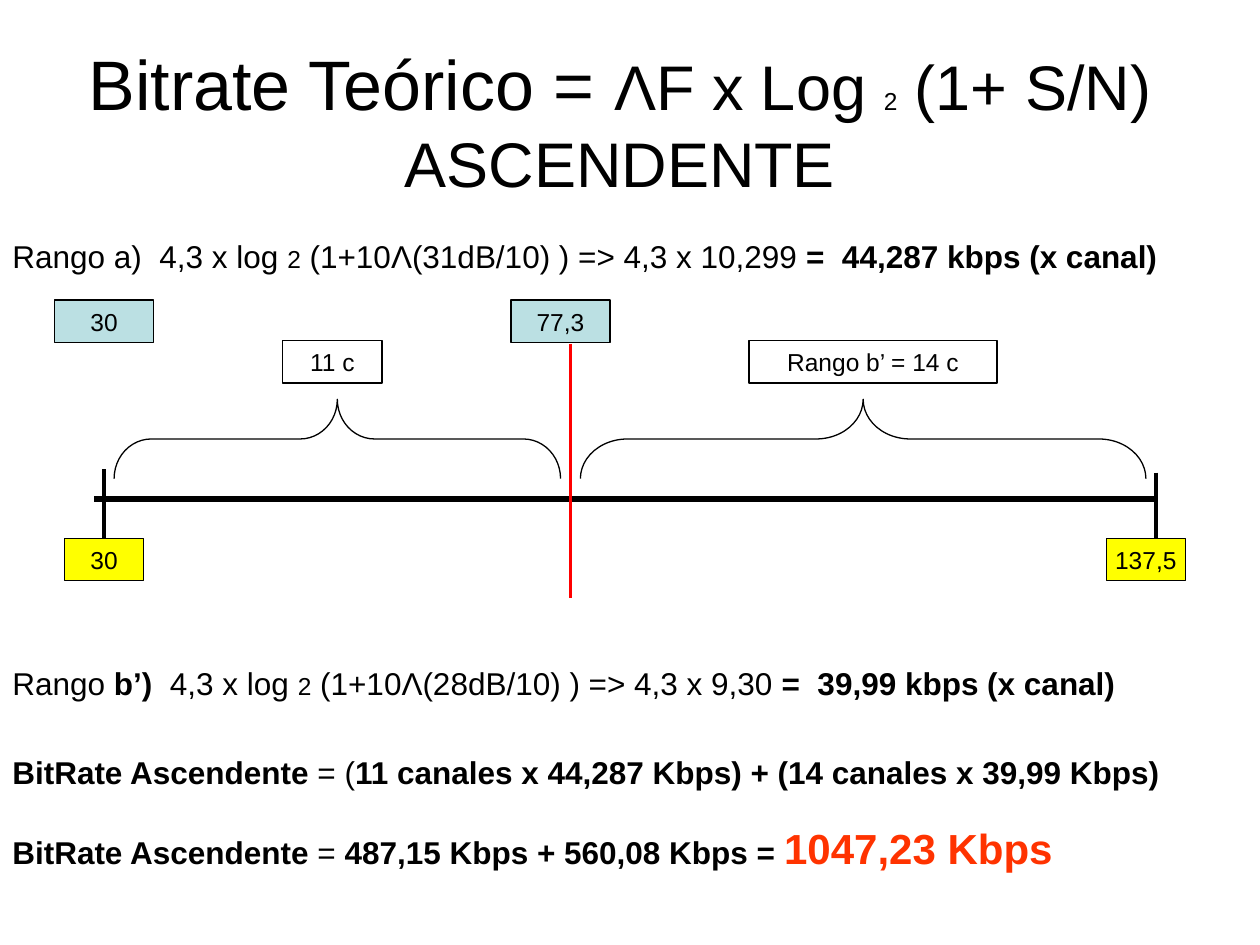
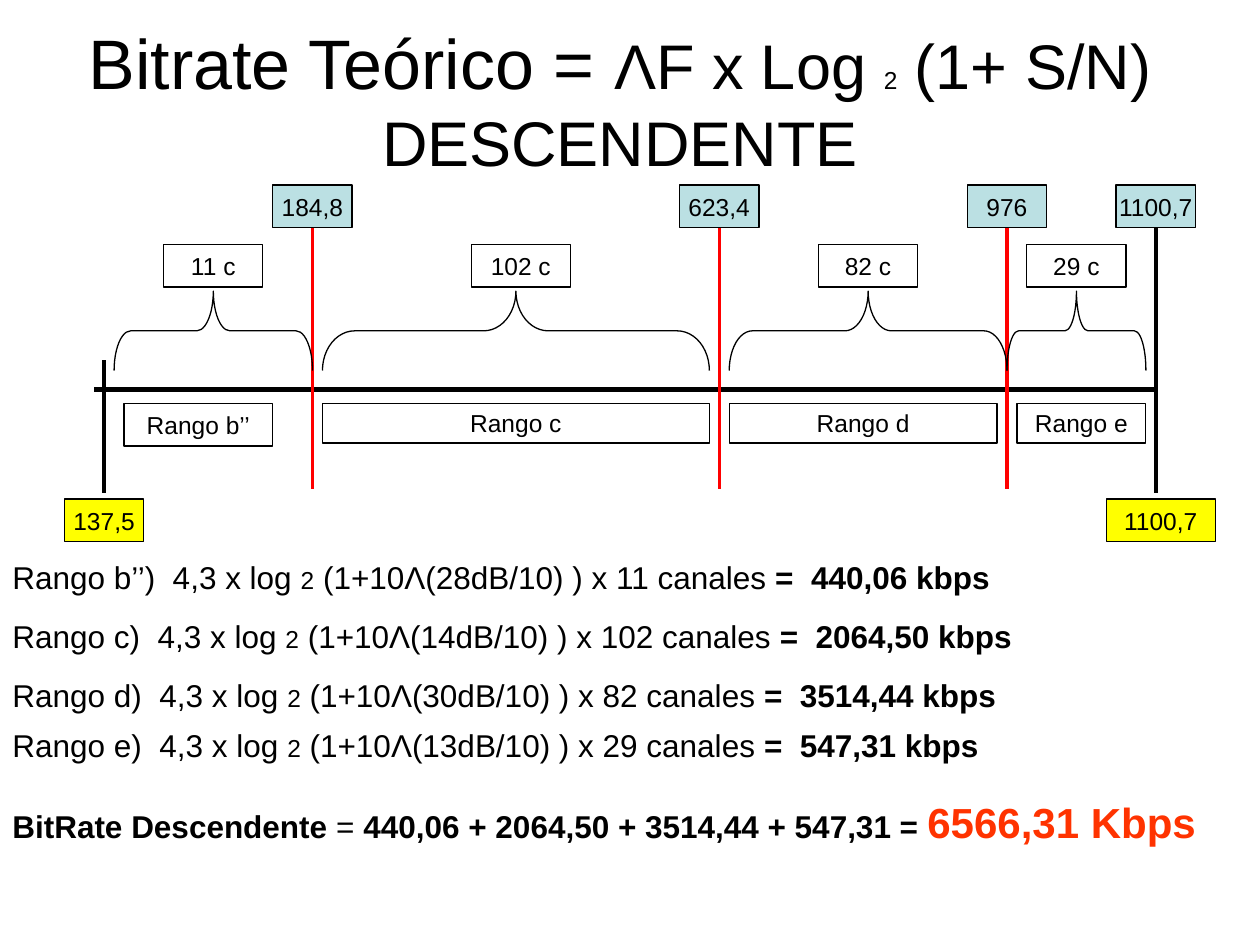
from lxml import etree
from pptx import Presentation
from pptx.dml.color import RGBColor as RGB
from pptx.enum.shapes import MSO_CONNECTOR as CONN, MSO_SHAPE as SHAPE
from pptx.enum.text import MSO_ANCHOR as ANCHOR, PP_ALIGN as ALIGN
from pptx.oxml.ns import qn
from pptx.util import Cm, Pt

COLORS = {"black": "000000", "white": "FFFFFF", "blue": "BBE0E3",
          "yellow": "FFFF00", "red": "FF0000", "total": "FF3300"}
# style: size, bold, colour
STYLES = {"title": (40, False, "black"), "title2": (36, False, "black"),
          "sub": (14, False, "black"), "text": (18, False, "black"),
          "bold": (18, True, "black"), "total": (24, True, "total")}
BOX_H = 0.86
BRACE_H = 1.6
AXIS_X = (1.9, 23.3)
LEFT_TICK, RIGHT_TICK = 2.1, 23.3


def write(p, runs):
    """Add styled runs to a paragraph; a newline becomes a line break."""
    for text, style in runs:
        size, bold, color = STYLES[style]
        for i, part in enumerate(text.split("\n")):
            if i:
                p.add_line_break()
            r = p.add_run()
            r.text = part
            r.font.name = "Arial"
            r.font.size = Pt(size)
            r.font.bold = bold
            r.font.color.rgb = RGB.from_string(COLORS[color])


def formula(name, db, factor, result, name_style="text"):
    """Runs of one capacity formula."""
    return [("Rango ", "text"), (name, name_style), ("  4,3 x log ", "text"),
            ("2", "sub"), (f" (1+10Λ({db}dB/10) ) {factor} ", "text"),
            (f"=  {result}", "bold")]


# boxes: text, left, top, width, height, fill
# lines: x1, y1, x2, y2, colour, points, joined box, its side
# braces: left, right
slides = [
    {
        "direction": "ASCENDENTE", "title_y": 0.75,
        "texts": [
            (4.65, formula("a)", 31, "=> 4,3 x 10,299", "44,287 kbps (x canal)")),
            (13.26, formula("b’)", 28, "=> 4,3 x 9,30", "39,99 kbps (x canal)", "bold")),
            (15.06, [("BitRate Ascendente", "bold"), (" = (", "text"),
                     ("11 canales x 44,287 Kbps) + (14 canales x 39,99 Kbps)", "bold")]),
            (16.46, [("BitRate Ascendente", "bold"), (" = ", "text"),
                     ("487,15 Kbps + 560,08 Kbps = ", "bold"),
                     ("1047,23 Kbps", "total")]),
        ],
        "boxes": [
            ("77,3", 10.3, 6.05, 2, BOX_H, "blue"),
            ("30", 1.1, 6.05, 2, BOX_H, "blue"),
            ("30", 1.3, 10.85, 1.6, BOX_H, "yellow"),
            ("137,5", 22.3, 10.85, 1.6, BOX_H, "yellow"),
            ("11 c", 5.7, 6.86, 2, BOX_H, "white"),
            ("Rango b’ = 14 c", 15.1, 6.86, 5, BOX_H, "white"),
        ],
        "axis_y": 10.06,
        "lines": [
            (RIGHT_TICK, 9.53, RIGHT_TICK, 10.85, "black", 2, None, None),
            (LEFT_TICK, 10.85, LEFT_TICK, 9.45, "black", 2, 2, 0),
            (11.5, 6.93, 11.5, 12.06, "red", 2, None, None),
        ],
        "brace_y": 8.05, "braces": [(2.3, 11.3), (11.7, 23.1)],
    },
    {
        "direction": "DESCENDENTE", "title_y": 0.32,
        "texts": [
            (11.13, formula("b’’)", 28, "x 11 canales", "440,06 kbps")),
            (12.32, formula("c)", 14, "x 102 canales", "2064,50 kbps")),
            (13.51, formula("d)", 30, "x 82 canales", "3514,44 kbps")),
            (14.52, formula("e)", 13, "x 29 canales", "547,31 kbps")),
            (15.93, [("BitRate Descendente", "bold"), (" = ", "text"),
                     ("440,06 + 2064,50 + 3514,44 + 547,31 = ", "bold"),
                     ("6566,31 Kbps", "total")]),
        ],
        "boxes": [
            *[(text, x - 0.8, 3.73, 1.6, BOX_H, "blue") for text, x in
              [("184,8", 6.3), ("623,4", 14.5), ("976", 20.3), ("1100,7", RIGHT_TICK)]],
            ("137,5", 1.3, 10.06, 1.6, BOX_H, "yellow"),
            ("1100,7", 22.3, 10.06, 2.2, BOX_H, "yellow"),
            *[(text, x, 4.93, 2, BOX_H, "white") for text, x in
              [("11 c", 3.3), ("102 c", 9.5), ("82 c", 16.5), ("29 c", 20.7)]],
            ("Rango b’’", 2.5, 8.13, 3, BOX_H, "white"),
            *[(f"Rango {name}", x, 8.13, w, 0.8, "white") for name, x, w in
              [("c", 6.5, 7.8), ("d", 14.7, 5.4), ("e", 20.5, 2.6)]],
        ],
        "axis_y": 7.85,
        "lines": [
            (LEFT_TICK, 7.26, LEFT_TICK, 9.93, "black", 2, None, None),
            (RIGHT_TICK, 4.59, RIGHT_TICK, 9.93, "black", 2, 3, 2),
            *[(x, 4.59, x, 9.85, "red", 2, i, 2)
              for i, x in enumerate([6.3, 14.5, 20.3])],
        ],
        "brace_y": 5.87,
        "braces": [(2.3, 6.3), (6.5, 14.3), (14.7, 20.3), (20.3, 23.1)],
    },
]

prs = Presentation()
prs.slide_width, prs.slide_height = Cm(25.4), Cm(19.05)

for page in slides:
    s = prs.slides.add_slide(prs.slide_layouts[6])

    # Title
    tf = s.shapes.add_textbox(Cm(0.5), Cm(page["title_y"]), Cm(24), Cm(3.35)).text_frame
    tf.word_wrap = True
    tf.vertical_anchor = ANCHOR.MIDDLE
    tf.paragraphs[0].alignment = ALIGN.CENTER
    write(tf.paragraphs[0], [("Bitrate Teórico = ", "title"), ("ΛF x Log ", "title2"),
                             ("2", "sub"), (f" (1+ S/N)\n{page['direction']}", "title2")])

    # Formulas and totals
    for y, runs in page["texts"]:
        h = 1.27 if runs[-1][1] == "total" else 1.02
        tf = s.shapes.add_textbox(0, Cm(y), Cm(24.7), Cm(h)).text_frame
        tf.word_wrap = True
        write(tf.paragraphs[0], runs)

    # Frequency and range boxes
    boxes = []
    for text, x, y, w, h, fill in page["boxes"]:
        sp = s.shapes.add_shape(SHAPE.RECTANGLE, Cm(x), Cm(y), Cm(w), Cm(h))
        sp.shadow.inherit = False
        sp.fill.solid()
        sp.fill.fore_color.rgb = RGB.from_string(COLORS[fill])
        sp.line.color.rgb = RGB.from_string(COLORS["black"])
        sp.line.width = Pt(0.75)
        tf = sp.text_frame
        tf.word_wrap = False
        tf.vertical_anchor = ANCHOR.MIDDLE
        tf.paragraphs[0].alignment = ALIGN.CENTER
        write(tf.paragraphs[0], [(text, "sub")])
        boxes.append(sp)

    # Axis, end ticks and range limits
    axis = (AXIS_X[0], page["axis_y"], AXIS_X[1], page["axis_y"], "black", 3, None, None)
    for x1, y1, x2, y2, color, width, box, side in [axis] + page["lines"]:
        line = s.shapes.add_connector(CONN.STRAIGHT, Cm(x1), Cm(y1), Cm(x2), Cm(y2))
        line.line.color.rgb = RGB.from_string(COLORS[color])
        line.line.width = Pt(width)
        etree.SubElement(line._element.spPr, qn("a:effectLst"))
        if box is not None:
            line.begin_connect(boxes[box], side)

    # Braces: left braces turned to point up, curves one twelfth of the length
    for left, right in page["braces"]:
        length = right - left
        x = (left + right - BRACE_H) / 2
        y = page["brace_y"] + (BRACE_H - length) / 2
        sp = s.shapes.add_shape(SHAPE.LEFT_BRACE, Cm(x), Cm(y), Cm(BRACE_H), Cm(length))
        sp.rotation = 90
        sp.adjustments[0] = length / 12 / BRACE_H
        sp.shadow.inherit = False
        sp.fill.background()
        sp.line.color.rgb = RGB.from_string(COLORS["black"])
        sp.line.width = Pt(0.75)

prs.save("out.pptx")
